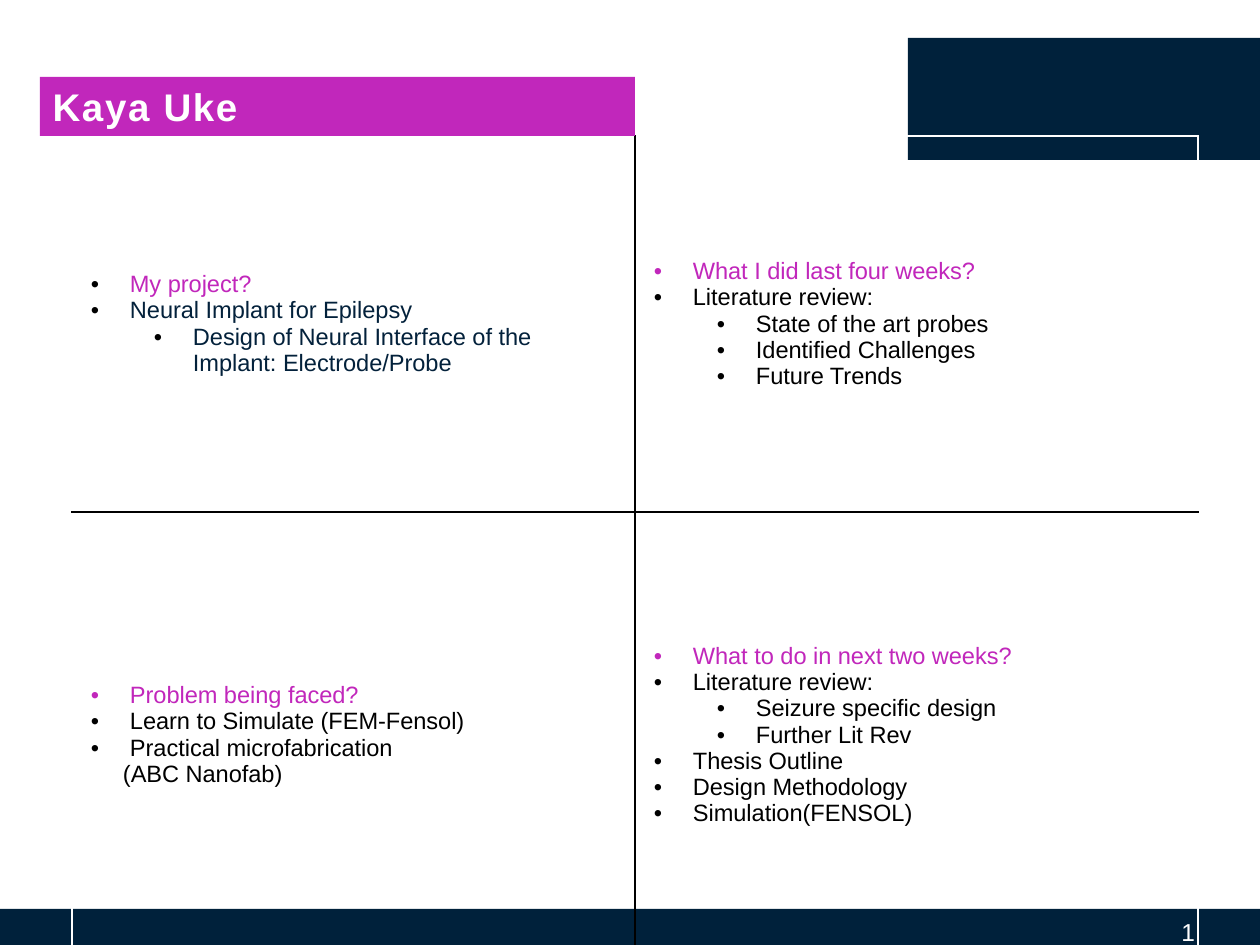
from lxml import etree
from pptx import Presentation
from pptx.dml.color import RGBColor
from pptx.enum.shapes import MSO_SHAPE
from pptx.enum.text import MSO_ANCHOR, PP_ALIGN
from pptx.oxml.ns import qn
from pptx.util import Emu, Pt

RECT = MSO_SHAPE.RECTANGLE
MIDDLE = MSO_ANCHOR.MIDDLE
LEFT, RIGHT = PP_ALIGN.LEFT, PP_ALIGN.RIGHT

NAVY = RGBColor(0x00, 0x21, 0x3B)
INK = RGBColor(0x03, 0x21, 0x3B)
MAGENTA = RGBColor(0xC1, 0x27, 0xBB)
WHITE = RGBColor(0xFF, 0xFF, 0xFF)
BLACK = RGBColor(0x00, 0x00, 0x00)
TITLE_ONLY = 5

# (text, level, colour); level None is a line without a bullet
QUADRANTS = [
    [
        [("My project?", 0, MAGENTA),
         ("Neural Implant for Epilepsy", 0, INK),
         ("Design of Neural Interface of the Implant: Electrode/Probe", 1, INK)],
        [("What I did last four weeks?", 0, MAGENTA),
         ("Literature review:", 0, BLACK),
         ("State of the art probes", 1, BLACK),
         ("Identified Challenges", 1, BLACK),
         ("Future Trends", 1, BLACK)],
    ],
    [
        [("Problem being faced?", 0, MAGENTA),
         ("Learn to Simulate (FEM-Fensol)", 0, BLACK),
         ("Practical microfabrication", 0, BLACK),
         ("(ABC Nanofab)", None, BLACK)],
        [("What to do in next two weeks?", 0, MAGENTA),
         ("Literature review:", 0, BLACK),
         ("Seizure specific design", 1, BLACK),
         ("Further Lit Rev", 1, BLACK),
         ("Thesis Outline", 0, BLACK),
         ("Design Methodology", 0, BLACK),
         ("Simulation(FENSOL)", 0, BLACK)],
    ],
]


def px(n):
    return Emu(n * 914400 // 126)


def set_attrs(obj, **values):
    for name, value in values.items():
        setattr(obj, name, value)


def add_run(p, text, size, color, bold=False):
    r = p.add_run()
    r.text = text
    set_attrs(r.font, name="Arial", size=Pt(size), bold=bold)
    r.font.color.rgb = color
    return r


def add_band(slide, box):
    sp = slide.shapes.add_shape(RECT, *map(px, box))
    sp.shadow.inherit = False
    sp.fill.solid()
    sp.fill.fore_color.rgb = NAVY
    sp.line.fill.background()


def add_page_number(slide, box, number):
    tf = slide.shapes.add_textbox(*map(px, box)).text_frame
    set_attrs(tf, word_wrap=True, vertical_anchor=MIDDLE, margin_left=0,
              margin_right=px(2), margin_top=px(6), margin_bottom=0)
    p = tf.paragraphs[0]
    p.alignment = RIGHT
    add_run(p, number, 14, WHITE)


def format_paragraph(p, level, bullet_color):
    set_attrs(p, alignment=LEFT, level=level or 0, line_spacing=Pt(15))
    pPr = p._p.get_or_add_pPr()
    if level is None:
        pPr.set("marL", str(px(32)))
        pPr.set("indent", "0")
        etree.SubElement(pPr, qn("a:buNone"))
        return
    pPr.set("marL", str(px(39 + 63 * level)))
    pPr.set("indent", str(-px(39)))
    clr = etree.SubElement(pPr, qn("a:buClr"))
    etree.SubElement(clr, qn("a:srgbClr"), val=str(bullet_color))
    etree.SubElement(pPr, qn("a:buFont"), typeface="Arial")
    etree.SubElement(pPr, qn("a:buChar"), char="•")


def set_borders(cell, colors):
    tcPr = cell._tc.get_or_add_tcPr()
    for i, (side, color) in enumerate(colors.items()):
        ln = etree.Element(qn("a:ln" + side), w=str(Pt(1)))
        fill = etree.SubElement(ln, qn("a:solidFill"))
        etree.SubElement(fill, qn("a:srgbClr"), val=str(color))
        tcPr.insert(i, ln)


def fill_cell(cell, items, first):
    set_attrs(cell, vertical_anchor=MIDDLE, margin_left=px(19),
              margin_right=px(19), margin_top=px(19), margin_bottom=px(19))
    cell.fill.background()
    tf = cell.text_frame
    for i, (text, level, color) in enumerate(items):
        p = tf.add_paragraph() if i else tf.paragraphs[0]
        format_paragraph(p, level, BLACK if first else color)
        add_run(p, text, 13.5, color)


def add_quad_table(slide, box, row_heights):
    table = slide.shapes.add_table(2, 2, *map(px, box)).table
    set_attrs(table, first_row=False, horz_banding=False)
    for col in table.columns:
        col.width = px(box[2] // 2)
    for i, row in enumerate(table.rows):
        row.height = px(row_heights[i])
        for j, cell in enumerate(row.cells):
            fill_cell(cell, QUADRANTS[i][j], first=(i == j == 0))
            # Only the inner cross is black
            set_borders(cell, {"L": BLACK if j else WHITE,
                               "R": WHITE if j else BLACK,
                               "T": BLACK if i else WHITE,
                               "B": WHITE if i else BLACK})


def add_title(slide, box, text):
    title = slide.shapes.title
    for name, value in zip(("left", "top", "width", "height"), box):
        setattr(title, name, px(value))
    title.fill.solid()
    title.fill.fore_color.rgb = MAGENTA
    tf = title.text_frame
    set_attrs(tf, vertical_anchor=MIDDLE, word_wrap=True)
    p = tf.paragraphs[0]
    p.alignment = LEFT
    r = add_run(p, text, 22, WHITE, bold=True)
    r.font._element.set("spc", "100")
    # Title drawn in front of the table
    slide.shapes._spTree.append(title._element)


def build_slide(prs):
    slide = prs.slides.add_slide(prs.slide_layouts[TITLE_ONLY])
    # Header block and footer strip
    add_band(slide, (908, 38, 352, 122))
    add_band(slide, (0, 909, 1265, 39))
    add_page_number(slide, (945, 909, 252, 39), "1")
    # Four quadrants and the name
    add_quad_table(slide, (72, 136, 1126, 822), (376, 446))
    add_title(slide, (40, 77, 595, 59), "Kaya Uke")


prs = Presentation()
set_attrs(prs, slide_width=px(1260), slide_height=px(945))
build_slide(prs)
prs.save("out.pptx")
